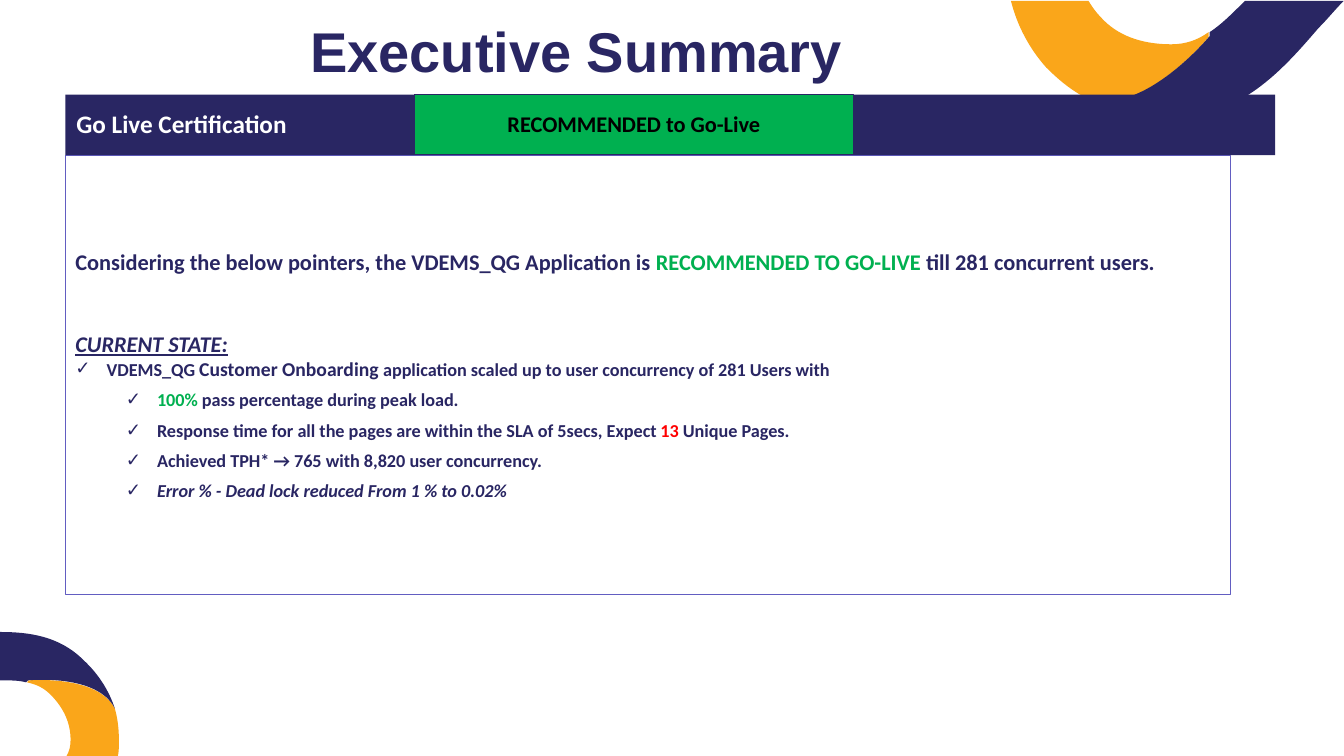
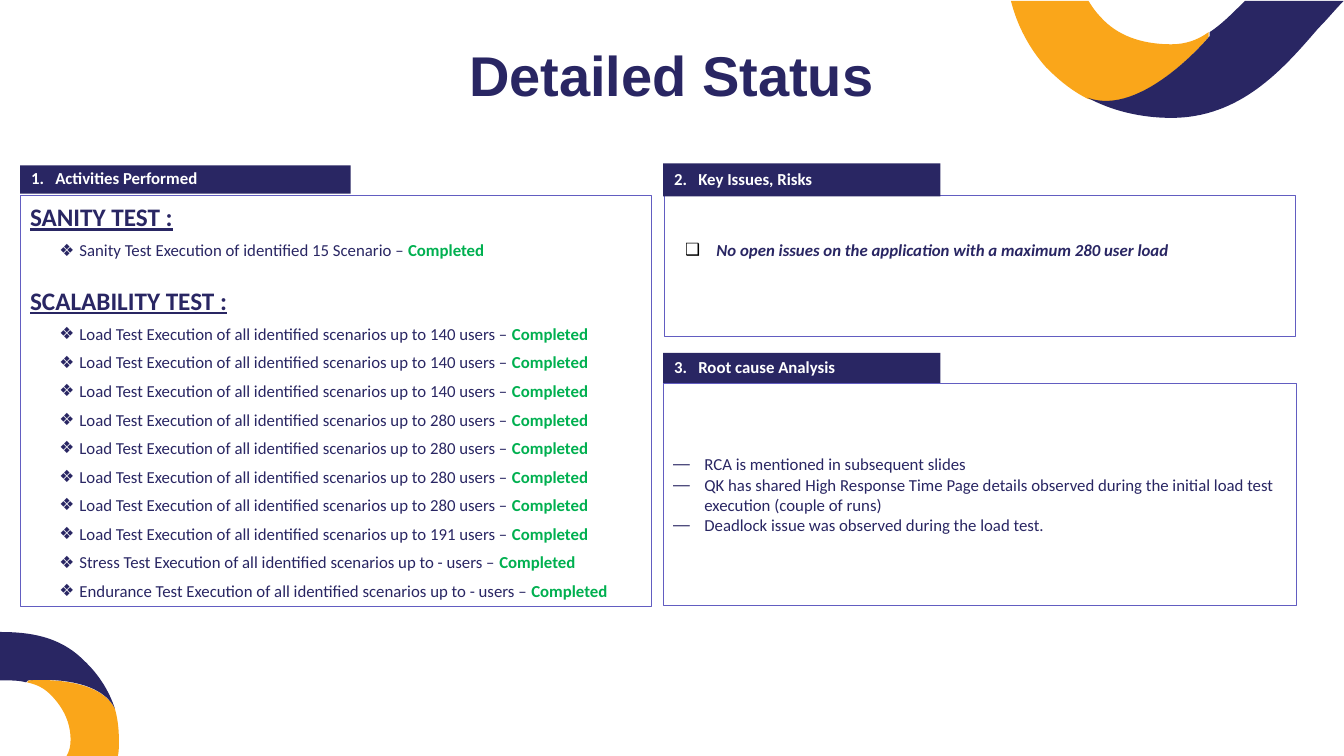
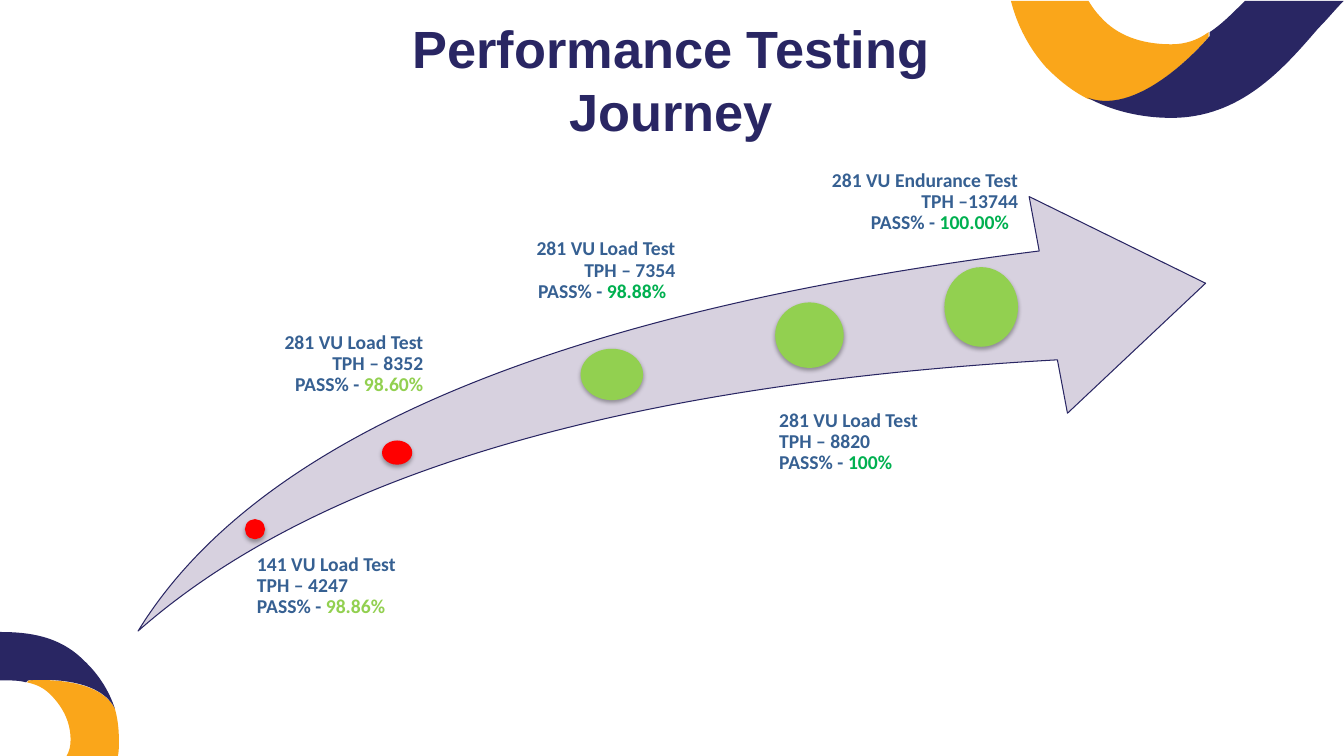
"""Builds three slides that report the results of a performance test."""
import lxml.etree
import pptx
import pptx.dml.color
import pptx.enum.shapes
import pptx.enum.text
import pptx.oxml.ns
import pptx.util

PX = 9144
NAVY, ORANGE, VIOLET = "292663", "FAA61A", "625DC1"
GREEN, LIME, RED, BLUE = "00B050", "92D050", "FF0000", "366092"
LILAC, BLACK, WHITE = "D7D1DF", "000000", "FFFFFF"

RIBBONS = [
    (ORANGE, (114, 703), [
        (97, 669, 28, 675, 28, 675), (27, 677), (36, 679, 43, 682, 50, 689),
        (64, 703, 70, 718, 70, 734), (70, 740, 69, 745, 66, 750), (117, 750),
        (118, 745, 118, 740, 118, 736), (118, 724, 117, 714, 114, 703)]),
    (NAVY, (26, 677), [
        (28, 675), (28, 675, 97, 668, 114, 703), (108, 685, 98, 669, 83, 655),
        (59, 631, 29, 627, 0, 627), (0, 675), (10, 675, 19, 675, 26, 677)]),
    (ORANGE, (1199, 37), [
        (1199, 32), (1188, 40, 1176, 44, 1162, 44), (1132, 44, 1108, 35, 1092, 17),
        (1087, 12, 1083, 6, 1080, 1), (1003, 1), (1009, 25, 1021, 48, 1038, 67),
        (1050, 79, 1063, 90, 1079, 98), (1133, 117, 1199, 37, 1199, 37)]),
    (NAVY, (1200, 32), [
        (1200, 36), (1200, 36, 1133, 117, 1079, 97), (1103, 110, 1132, 117, 1162, 117),
        (1230, 117, 1272, 70, 1308, 28), (1317, 19, 1325, 9, 1333, 1), (1235, 1),
        (1222, 14, 1211, 25, 1200, 32)]),
]
ARROW = ((137, 626), [
    (255, 434, 553, 309, 1031, 249), (1021, 195), (1196, 281), (1059, 410),
    (1049, 357), (618, 381, 314, 470, 137, 626)])

STYLES = {
    "title": dict(font="Arial", size=40, bold=True, align="CENTER", before=10),
    "band": dict(size=12, color=WHITE, bold=True, margin=25, indent=-24, lines=0.9),
    "verdict": dict(size=16, color=BLACK, bold=True, align="CENTER", lines=0.93),
    "lead": dict(size=16, bold=True, after=39),
    "state": dict(size=16, bold=True, italic=True, underline=True),
    "check": dict(size=13, bold=True, margin=31, indent=-31, after=6, bullet="✓"),
    "subcheck": dict(size=13, bold=True, margin=81, indent=-31, after=6, bullet="✓"),
    "test": dict(size=18, bold=True, underline=True, before=3, after=6),
    "run": dict(size=12, margin=49, indent=-20, after=6, bullet="❖"),
    "issue": dict(size=12, bold=True, italic=True, margin=31, indent=-31, after=6,
                  bullet="❑", bullet_color=BLACK),
    "cause": dict(size=12, margin=31, indent=-31, bullet="―"),
    "milestone": dict(size=14, color=BLUE, bold=True, lines=0.9),
}

SUMMARY = [
    ("lead", ["Considering the below pointers, the VDEMS_QG Application is ",
              ("RECOMMENDED TO GO-LIVE ", dict(color=GREEN)),
              "till 281 concurrent users."]),
    ("state", ["CURRENT STATE:"]),
    ("check", ["VDEMS_QG ", ("Customer Onboarding", dict(size=14)),
               " application scaled up to user concurrency of 281 Users with"]),
    ("subcheck", [("100%", dict(color=GREEN)), " pass percentage during peak load."]),
    ("subcheck", ["Response time for all the pages are within the SLA of 5secs, Expect ",
                  ("13", dict(color=RED)), " Unique Pages."]),
    ("subcheck", ["Achieved TPH* → 765 with 8,820 user concurrency."]),
    ("subcheck", [("Error % - Dead lock reduced From 1 % to 0.02%", dict(italic=True))]),
]

SCALABILITY_RUNS = [("Load", users) for users in
                    ("140", "140", "140", "280", "280", "280", "280", "191")]
SCALABILITY_RUNS += [("Stress", "-"), ("Endurance", "-")]
COMPLETED = ("Completed", dict(color=GREEN, bold=True))
ACTIVITIES = [
    ("test", ["SANITY TEST :"]),
    ("run", ["Sanity Test Execution of identified 15 Scenario – ", COMPLETED], dict(after=0)),
    ("test", ["SCALABILITY TEST :"], dict(before=17.6)),
] + [("run", [f"{test} Test Execution of all identified scenarios up to {users} users – ",
              COMPLETED]) for test, users in SCALABILITY_RUNS]
CAUSES = [("cause", [cause]) for cause in (
    "RCA is mentioned in subsequent slides",
    "QK has shared High Response Time Page details observed during the initial load test "
    "execution (couple of runs)",
    "Deadlock issue was observed during the load test.")]
ISSUES = [("issue", ["No open issues on the application with a maximum 280 user load"])]

PANELS = [
    ("1.\tActivities Performed", (20, 164, 328, 28), (20, 194, 626, 408), ACTIVITIES),
    ("2.\tKey Issues, Risks", (658, 162, 275, 33), (659, 194, 626, 140), []),
    ("3.\tRoot cause Analysis", (658, 350, 275, 30), (658, 380, 628, 221), CAUSES),
]

DOTS = [
    (RED, (243, 515, 20, 20)), (RED, (379, 437, 30, 24)), (LIME, (576, 346, 62, 51)),
    (LIME, (769, 300, 68, 65)), (LIME, (937, 265, 73, 79)),
]
MILESTONES = [
    ("141 VU Load Test", "TPH – 4247", "98.86%", LIME, "LEFT", 0, (236, 549, 173, 65), 19),
    ("281 VU Load Test", "TPH – 8352", "98.60%", LIME, "RIGHT", 0, (241, 322, 179, 79), 26),
    ("281 VU Load Test", "TPH – 7354", "98.88%", GREEN, "RIGHT", 9, (471, 229, 199, 79), 35),
    ("281 VU Load Test", "TPH – 8820", "100%", GREEN, "LEFT", 0, (738, 399, 199, 79), 35),
    ("281 VU Endurance Test", "TPH –13744", "100.00%", GREEN, "RIGHT", 9,
     (765, 161, 245, 79), 35),
]


def px(length):
    return pptx.util.Emu(length * PX)


def rgb(color):
    return pptx.dml.color.RGBColor.from_string(color)


def add_xml(parent, tag, **attributes):
    return lxml.etree.SubElement(parent, pptx.oxml.ns.qn(tag), attributes)


def paint(shape, fill=None, line=None):
    shape.shadow.inherit = False
    if fill:
        shape.fill.solid()
        shape.fill.fore_color.rgb = rgb(fill)
    else:
        shape.fill.background()
    if line:
        shape.line.color.rgb = rgb(line)
        shape.line.width = pptx.util.Pt(0.75)
    else:
        shape.line.fill.background()


def format_paragraph(paragraph, style):
    paragraph.alignment = getattr(pptx.enum.text.PP_ALIGN, style.get("align", "LEFT"))
    paragraph.line_spacing = style.get("lines", 1.0)
    paragraph.space_before = pptx.util.Pt(style.get("before", 0))
    paragraph.space_after = pptx.util.Pt(style.get("after", 0))
    properties = paragraph._p.get_or_add_pPr()
    for name, key in (("marL", "margin"), ("marR", "margin_right"), ("indent", "indent")):
        if style.get(key):
            properties.set(name, str(px(style[key])))
    if "bullet" in style:
        color = add_xml(properties, "a:buClr")
        add_xml(color, "a:srgbClr", val=style.get("bullet_color", NAVY))
        add_xml(properties, "a:buFont", typeface="Arial")
        add_xml(properties, "a:buChar", char=style["bullet"])


def write(shape, paragraphs, anchor="MIDDLE", insets=(10, 5, 10, 5)):
    frame = shape.text_frame
    frame.word_wrap = True
    frame.vertical_anchor = getattr(pptx.enum.text.MSO_ANCHOR, anchor)
    (frame.margin_left, frame.margin_top,
     frame.margin_right, frame.margin_bottom) = map(px, insets)
    for index, (name, pieces, *changes) in enumerate(paragraphs):
        paragraph = frame.add_paragraph() if index else frame.paragraphs[0]
        style = {**STYLES[name], **(changes[0] if changes else {})}
        format_paragraph(paragraph, style)
        for piece in pieces:
            text, special = (piece, {}) if isinstance(piece, str) else piece
            look = {**style, **special}
            run = paragraph.add_run()
            run.text = text
            run.font.name = look.get("font", "Calibri")
            run.font.size = pptx.util.Pt(look["size"])
            run.font.color.rgb = rgb(look.get("color", NAVY))
            run.font.bold = look.get("bold", False)
            run.font.italic = look.get("italic", False)
            run.font.underline = look.get("underline", False)


def add_box(slide, place, fill=None, line=None, paragraphs=(), kind="RECTANGLE"):
    box = slide.shapes.add_shape(getattr(pptx.enum.shapes.MSO_SHAPE, kind), *map(px, place))
    paint(box, fill, line)
    if paragraphs:
        write(box, paragraphs)
    return box


def add_text(slide, place, paragraphs, **layout):
    write(slide.shapes.add_textbox(*map(px, place)), paragraphs, **layout)


def add_outline(slide, start, segments, fill, line=None):
    builder = slide.shapes.build_freeform(*start, scale=PX)
    for segment in segments:
        builder.add_line_segments(list(zip(segment[::2], segment[1::2])), close=False)
    builder.add_line_segments([], close=True)
    outline = builder.convert_to_shape()
    steps = iter(list(outline._element.iter(pptx.oxml.ns.qn("a:lnTo"))))
    for segment in segments:
        first, *others = [next(steps) for _ in segment[::2]]
        if others:
            first.tag = pptx.oxml.ns.qn("a:cubicBezTo")
        for step in others:
            first.append(step[0])
            step.getparent().remove(step)
    paint(outline, fill, line)


def add_slide(deck, title, place, **changes):
    slide = deck.slides.add_slide(deck.slide_layouts[6])
    for color, start, segments in RIBBONS:
        add_outline(slide, start, segments, color)
    add_text(slide, place, [("title", [title], changes)])
    return slide


def add_dot(slide, color, place):
    dot = add_box(slide, place, color, kind="OVAL")
    effects = dot._element.spPr.find(pptx.oxml.ns.qn("a:effectLst"))
    shadow = add_xml(effects, "a:outerShdw", blurRad=str(pptx.util.Pt(3.1)),
                     dist=str(pptx.util.Pt(1.8)), dir="5400000", rotWithShape="0")
    add_xml(add_xml(shadow, "a:srgbClr", val=BLACK), "a:alpha", val="33000")


def build_summary(deck):
    slide = add_slide(deck, "Executive Summary", (113, 17, 917, 74), lines=0.9)
    add_box(slide, (65, 154, 1156, 436), line=VIOLET, paragraphs=SUMMARY)
    add_box(slide, (65, 94, 1200, 60), NAVY,
            paragraphs=[("band", ["Go Live Certification"], dict(size=18))])
    add_box(slide, (411, 94, 436, 59), GREEN, NAVY, [("verdict", ["RECOMMENDED to Go-Live"])])


def build_status(deck):
    slide = add_slide(deck, "Detailed Status", (303, 35, 726, 77))
    for heading, band, frame, paragraphs in PANELS:
        add_box(slide, frame, line=VIOLET, paragraphs=paragraphs)
        add_box(slide, band, NAVY, paragraphs=[("band", [heading])])
    add_text(slide, (670, 233, 644, 30), ISSUES, anchor="TOP")


def build_journey(deck):
    slide = add_slide(deck, "Performance Testing Journey", (303, 40, 726, 77), size=37.4)
    add_outline(slide, *ARROW, LILAC, NAVY)
    for color, place in DOTS:
        add_dot(slide, color, place)
    for test, rate, passed, color, align, shift, place, inset in MILESTONES:
        side = dict(align=align)
        add_text(slide, place, [
            ("milestone", [test], side),
            ("milestone", [rate], side),
            ("milestone", ["PASS% - ", (passed, dict(color=color))],
             dict(align=align, margin_right=shift)),
        ], insets=(inset, 0, 0, 0))


def main():
    deck = pptx.Presentation()
    deck.slide_height = px(750)
    deck.slide_width = deck.slide_height * 16 // 9
    build_summary(deck)
    build_status(deck)
    build_journey(deck)
    deck.save("out.pptx")


if __name__ == "__main__":
    main()
